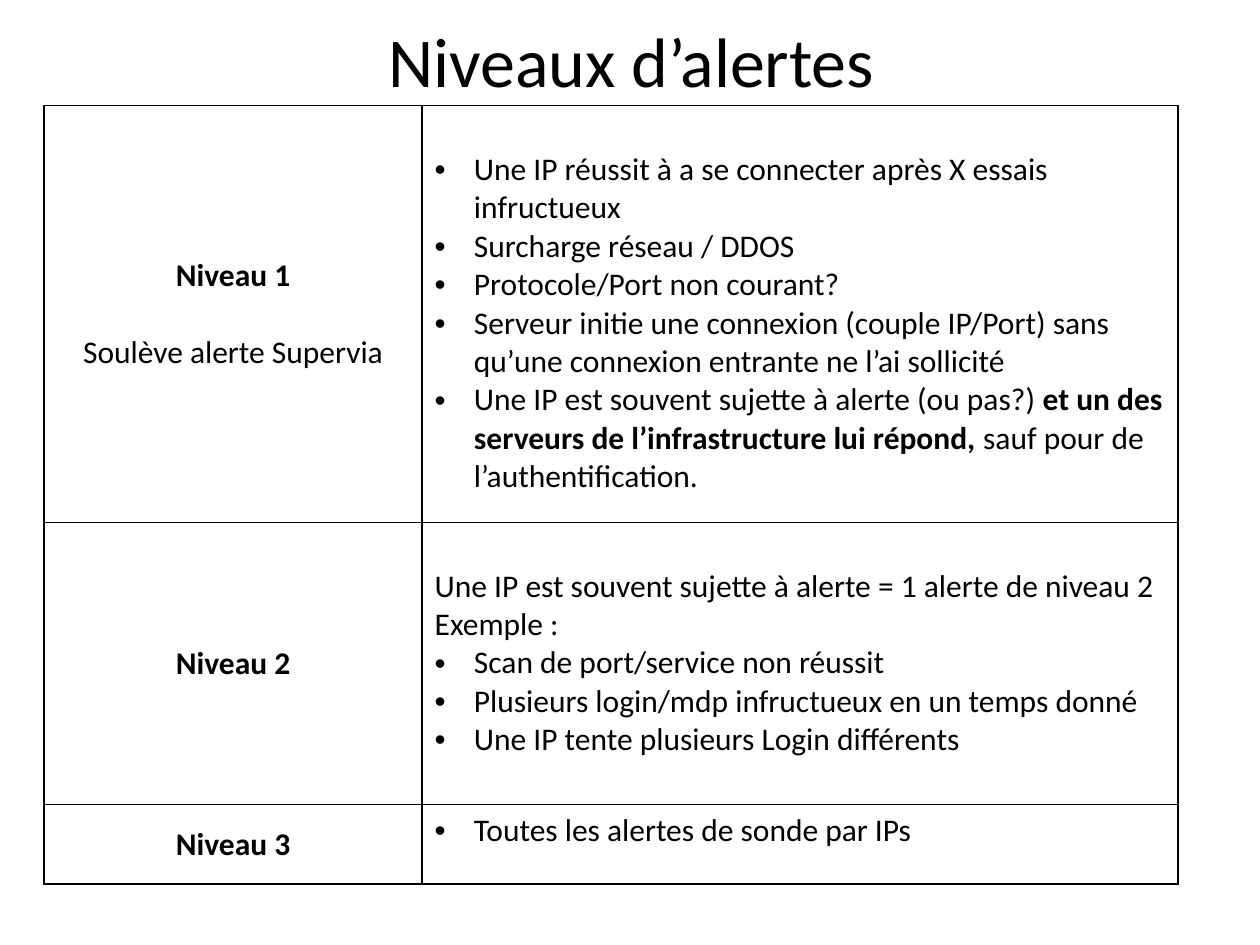
from lxml import etree
from pptx import Presentation
from pptx.dml.color import RGBColor
from pptx.enum.text import MSO_ANCHOR as Anchor, PP_ALIGN as Align
from pptx.oxml.ns import qn
from pptx.util import Cm, Pt

FONT = "Calibri"
INK = "000000"
LINE_HEIGHT = Cm(0.77)
INDENT = Cm(0.79)

# Each entry: label lines, top gap in lines, and (bulleted, [(text, bold), ...]) paragraphs
LEVELS = [
    (8.4, ["Niveau 1", "Soulève alerte Supervia"], 1, [
        (True, [("Une IP réussit à a se connecter après X essais infructueux", False)]),
        (True, [("Surcharge réseau / DDOS", False)]),
        (True, [("Protocole/Port non courant?", False)]),
        (True, [("Serveur initie une connexion (couple IP/Port) sans "
                 "qu’une connexion entrante ne l’ai sollicité", False)]),
        (True, [("Une IP est souvent sujette à alerte (ou pas?) ", False),
                ("et un des serveurs de l’infrastructure lui répond, ", True),
                ("sauf pour de l’authentification.", False)]),
    ]),
    (5.69, ["Niveau 2"], 1, [
        (False, [("Une IP est souvent sujette à alerte = 1 alerte de niveau 2", False)]),
        (False, [("Exemple : ", False)]),
        (True, [("Scan de port/service non réussit", False)]),
        (True, [("Plusieurs login/mdp infructueux en un temps donné", False)]),
        (True, [("Une IP tente plusieurs Login différents", False)]),
    ]),
    (1.6, ["Niveau 3"], 0, [
        (True, [("Toutes les alertes de sonde par IPs", False)]),
    ]),
]


def color(hex_text):
    return RGBColor.from_string(hex_text)


def add_span(para, text, size, bold=False):
    span = para.add_run()
    span.text = text
    span.font.name = FONT
    span.font.size = Pt(size)
    span.font.bold = bold
    span.font.color.rgb = color(INK)


def next_para(frame, index):
    return frame.add_paragraph() if index else frame.paragraphs[0]


def add_bullet(para):
    props = para._p.get_or_add_pPr()
    props.set("marL", str(INDENT))
    props.set("indent", str(-INDENT))
    etree.SubElement(props, qn("a:buFont")).set("typeface", "Arial")
    etree.SubElement(props, qn("a:buChar")).set("char", "•")


def style_cell(cell):
    props = cell._tc.get_or_add_tcPr()
    for side in ("a:lnL", "a:lnR", "a:lnT", "a:lnB"):
        line = etree.SubElement(props, qn(side), w=str(Pt(1)))
        fill = etree.SubElement(line, qn("a:solidFill"))
        etree.SubElement(fill, qn("a:srgbClr"), val=INK)
    cell.fill.background()


def add_title(page, left, top, width, height):
    box = page.shapes.add_textbox(left, top, width, height)
    frame = box.text_frame
    frame.word_wrap = True
    frame.vertical_anchor = Anchor.MIDDLE
    para = frame.paragraphs[0]
    para.alignment = Align.CENTER
    add_span(para, "Niveaux d’alertes", 40)


def fill_label(cell, lines):
    cell.vertical_anchor = Anchor.MIDDLE
    for index, text in enumerate(lines):
        para = next_para(cell.text_frame, index)
        para.alignment = Align.CENTER
        if index:
            para.space_before = LINE_HEIGHT
        add_span(para, text, 18, bold=index == 0)


def fill_details(cell, gap, items):
    cell.margin_top = Cm(0.13) + gap * LINE_HEIGHT
    for index, (bulleted, spans) in enumerate(items):
        para = next_para(cell.text_frame, index)
        if bulleted:
            add_bullet(para)
        for text, bold in spans:
            add_span(para, text, 18, bold)


def add_levels(page, left, top, width):
    height = Cm(sum(level[0] for level in LEVELS))
    table = page.shapes.add_table(len(LEVELS), 2, left, top, width, height).table
    table.first_row = table.horz_banding = False
    # The label column takes one third of the width
    table.columns[0].width = width // 3
    table.columns[1].width = width - width // 3
    for index, (row_height, label, gap, items) in enumerate(LEVELS):
        table.rows[index].height = Cm(row_height)
        fill_label(table.cell(index, 0), label)
        fill_details(table.cell(index, 1), gap, items)
        for cell in table.rows[index].cells:
            style_cell(cell)


deck = Presentation()
deck.slide_width, deck.slide_height = Cm(25.4), Cm(19.05)
page = deck.slides.add_slide(deck.slide_layouts[6])
add_title(page, Cm(1.3), Cm(-0.4), Cm(22.86), Cm(3.18))
add_levels(page, Cm(0.89), Cm(2.13), Cm(22.86))
deck.save("out.pptx")
